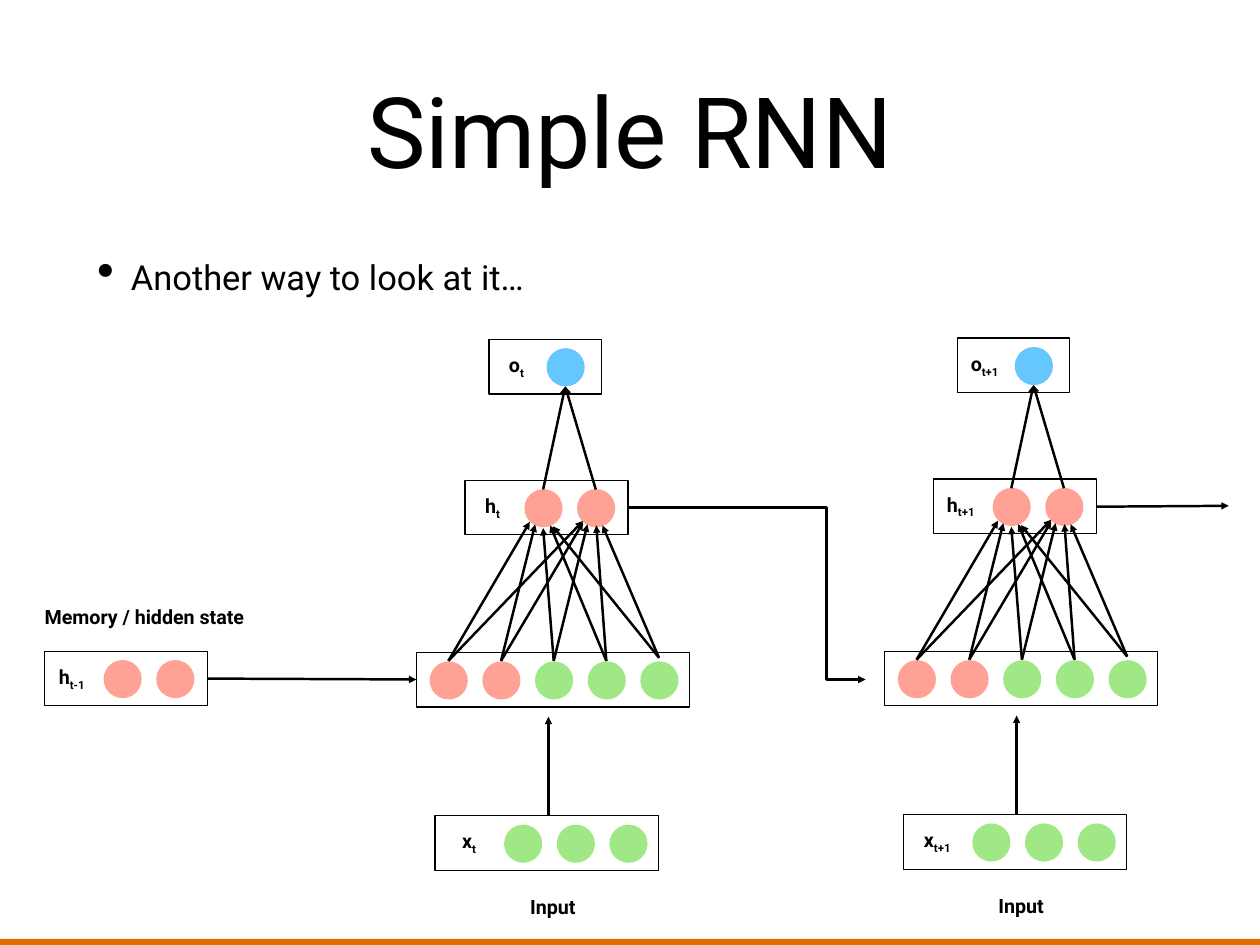
from lxml.etree import SubElement
from pptx import Presentation
from pptx.dml.color import RGBColor
from pptx.enum.shapes import MSO_CONNECTOR, MSO_SHAPE
from pptx.enum.text import MSO_ANCHOR, MSO_AUTO_SIZE, PP_ALIGN
from pptx.oxml.ns import qn
from pptx.util import Pt

BLACK = "000000"
MEMORY = "FFA295"
INPUT = "A0E886"
OUTPUT = "66C7FF"
FONT = "Roboto"

UNIT_SIZE = 31
UNIT_PITCH = 42.8
LAYER_HEIGHT = 44.4
STEP_PITCH = 380.5

# Arrow ends at the two hidden units, for each of the five units below
FAN_ENDS = [
    [(92.2, 148.3), (135.4, 147.6)],
    [(96.5, 150.4), (135.4, 149)],
    [(103, 153.3), (139, 150.4)],
    [(108.7, 151.2), (146.2, 151.2)],
    [(110.9, 151.9), (151.2, 151.2)],
]


def colour(value):
    return RGBColor.from_string(value)


def add_preset(slide, kind, left, top, width, height, fill=None, line=None):
    shape = slide.shapes.add_shape(kind, Pt(left), Pt(top), Pt(width), Pt(height))
    shape.shadow.inherit = False
    if fill:
        shape.fill.solid()
        shape.fill.fore_color.rgb = colour(fill)
    else:
        shape.fill.background()
    if line:
        shape.line.color.rgb = colour(line)
        shape.line.width = Pt(1)
    else:
        shape.line.fill.background()


def add_bullet(paragraph, indent):
    properties = paragraph._p.get_or_add_pPr()
    properties.set("marL", str(Pt(indent)))
    properties.set("indent", str(-Pt(indent)))
    SubElement(properties, qn("a:buSzPct")).set("val", "145000")
    SubElement(properties, qn("a:buChar")).set("char", "•")


def add_text(slide, text, left, top, width, height, *, size=16, bold=False,
             align=PP_ALIGN.CENTER, anchor=MSO_ANCHOR.MIDDLE, wrap=True,
             subscript="", bullet_indent=None):
    box = slide.shapes.add_textbox(Pt(left), Pt(top), Pt(width), Pt(height))
    frame = box.text_frame
    frame.margin_left = frame.margin_right = Pt(4)
    frame.margin_top = frame.margin_bottom = Pt(4)
    frame.vertical_anchor = anchor
    frame.word_wrap = wrap
    frame.auto_size = MSO_AUTO_SIZE.NONE if wrap else MSO_AUTO_SIZE.SHAPE_TO_FIT_TEXT
    paragraph = frame.paragraphs[0]
    paragraph.alignment = align
    if bullet_indent:
        add_bullet(paragraph, bullet_indent)
    for part in filter(None, (text, subscript)):
        run = paragraph.add_run()
        run.text = part
        run.font.name = FONT
        run.font.size = Pt(size)
        run.font.bold = bold
        run.font.color.rgb = colour(BLACK)
    if subscript:
        run._r.get_or_add_rPr().set("baseline", "-25000")


def add_label(slide, text, center, top, width, subscript=""):
    add_text(slide, text, center - width / 2, top, width, 27.4,
             bold=True, wrap=False, subscript=subscript)


def add_arrow(slide, start, end, bend=None):
    """Draw a straight arrow, or an elbow that turns at the share `bend` of its width."""
    kind = MSO_CONNECTOR.ELBOW if bend else MSO_CONNECTOR.STRAIGHT
    arrow = slide.shapes.add_connector(kind, *map(Pt, start + end))
    arrow.line.color.rgb = colour(BLACK)
    arrow.line.width = Pt(2)
    SubElement(arrow.line._get_or_add_ln(), qn("a:tailEnd")).set("type", "triangle")
    properties = arrow._element.spPr
    SubElement(properties, qn("a:effectLst"))
    if bend:
        guides = properties.find(qn("a:prstGeom")).get_or_add_avLst()
        guide = SubElement(guides, qn("a:gd"))
        guide.set("name", "adj1")
        guide.set("fmla", f"val {round(bend * 100000)}")


def add_layer(slide, left, top, width, units, first_unit,
              name="", subscript="", label_center=22.3):
    """Draw a framed row of units; `first_unit` and `label_center` count from its left."""
    for index, fill in enumerate(units):
        add_preset(slide, MSO_SHAPE.OVAL, left + first_unit + index * UNIT_PITCH,
                   top + 7.2, UNIT_SIZE, UNIT_SIZE, fill=fill)
    if name:
        add_label(slide, name, left + label_center, top + 8, 34, subscript)
    add_preset(slide, MSO_SHAPE.RECTANGLE, left, top, width, LAYER_HEIGHT, line=BLACK)


def add_hidden_layer(slide, left, top, subscript):
    add_layer(slide, left, top, 132.5, [MEMORY] * 2, 48.2, "h", subscript)


def add_time_step(slide, left, top, subscript):
    def at(x, y):
        return left + x, top + y

    add_layer(slide, *at(15.1, 387.2), 181.4, [INPUT] * 3, 56.2, "x", subscript, 27.7)
    add_label(slide, "Input", *at(110.9, 447.1), 47.5)
    add_layer(slide, *at(0, 254.5), 221.8, [MEMORY] * 2 + [INPUT] * 3, 10.8)
    add_hidden_layer(slide, *at(39.6, 114.5), subscript)
    add_layer(slide, *at(59, 0), 91.4, [OUTPUT], 46.8, "o", subscript)

    for index, ends in enumerate(FAN_ENDS):
        start_y = 258.8 if index == 4 else 261.3
        for end in ends:
            add_arrow(slide, at(26 + index * UNIT_PITCH, start_y), at(*end))
    for x in (103, 103 + UNIT_PITCH):
        add_arrow(slide, at(x, 122), at(121, 38.2))
    add_arrow(slide, at(107.3, 387.2), at(107.3, 306.7))


def main():
    presentation = Presentation()
    presentation.slide_width = Pt(1024)
    presentation.slide_height = Pt(768)
    slide = presentation.slides.add_slide(presentation.slide_layouts[6])

    add_preset(slide, MSO_SHAPE.RECTANGLE, 0, 763, 1024, 5, fill="E76A01")
    add_text(slide, "Simple RNN", 75, 20, 874, 170, size=80)
    add_text(slide, "Another way to look at it…", 75, 204, 899, 495, size=28,
             align=PP_ALIGN.LEFT, anchor=MSO_ANCHOR.TOP, bullet_indent=27.4)

    add_label(slide, "Memory / hidden state", 117.4, 487.4, 181.4)
    add_hidden_layer(slide, 36, 529.2, "t-1")
    step_left, step_top = 338.4, 275.8
    for index, subscript in enumerate(("t", "t+1")):
        add_time_step(slide, step_left + index * STEP_PITCH, step_top - index, subscript)

    add_arrow(slide, (169, 551.5), (338.4, 552.2))
    add_arrow(slide, (510.5, 412.6), (703.4, 552.2), bend=0.835)
    add_arrow(slide, (890.8, 411.8), (998.6, 411.1))

    presentation.save("out.pptx")


if __name__ == "__main__":
    main()
